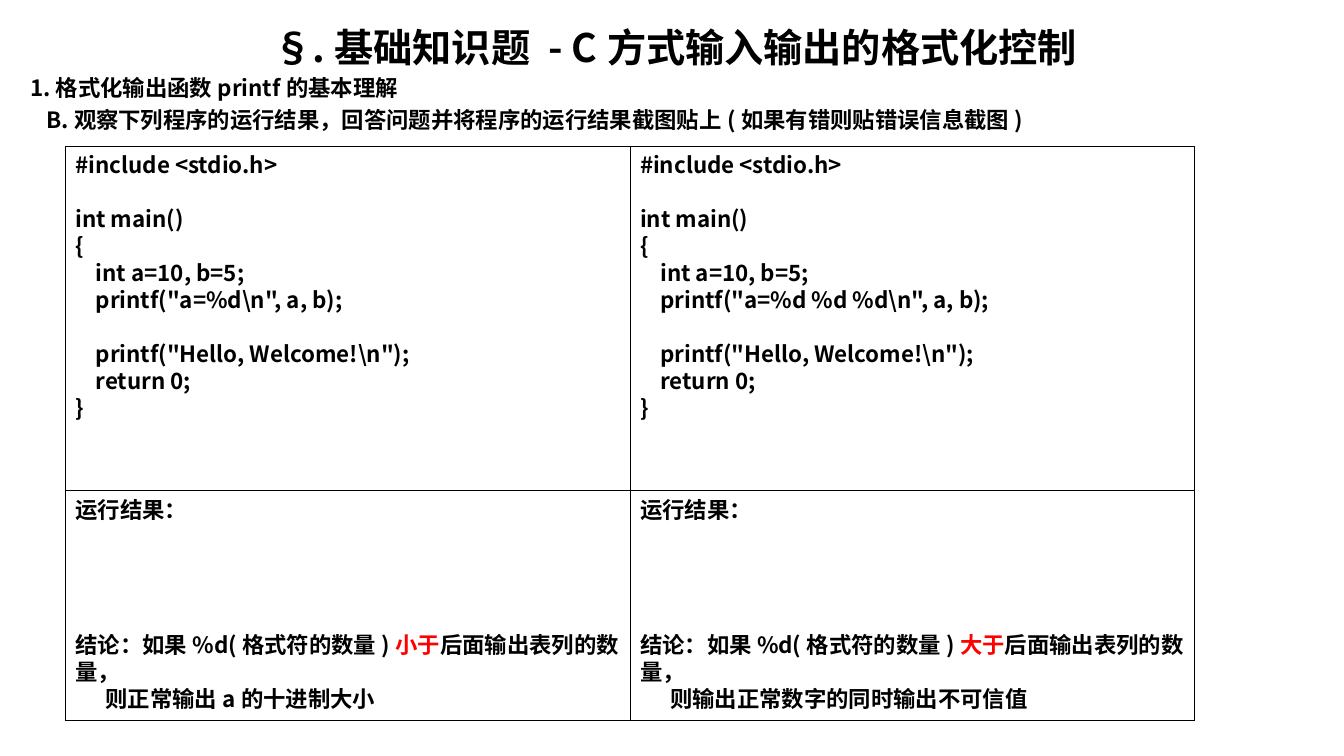
from dataclasses import dataclass

from lxml.etree import SubElement
from pptx import Presentation
from pptx.dml.color import RGBColor as RGB
from pptx.enum.shapes import MSO_SHAPE as Shape
from pptx.enum.text import MSO_ANCHOR as Anchor
from pptx.enum.text import MSO_AUTO_SIZE as Fit
from pptx.enum.text import PP_ALIGN as Align
from pptx.oxml.ns import qn
from pptx.util import Inches, Pt


@dataclass(frozen=True)
class Theme:
    font: str = "Noto Sans CJK SC"
    ink: RGB = RGB(0, 0, 0)
    mark: RGB = RGB(255, 0, 0)
    head: float = 28
    body: float = 16
    lead: float = 1.205  # line height as a multiple of the type size
    rule: float = 0.75


@dataclass(frozen=True)
class Line:
    texts: tuple[str, ...]
    red: int = -1  # index of the text in red
    gap: float = 0  # space before, in points
    indent: float = 0  # left margin, in inches


@dataclass(frozen=True)
class Case:
    form: str
    word: str
    result: str


THEME = Theme()
ROW = THEME.body * THEME.lead
LEFT, TOP, WIDTH, HEIGHT = 0.65, 1.45, 5.6, 5.7
SPLIT = 4.87

TITLE = "§.基础知识题 - C方式输入输出的格式化控制"
INTRO = [
    Line(("1.格式化输出函数printf的基本理解",)),
    Line(("B.观察下列程序的运行结果，回答问题并将程序的运行结果截图贴上"
          "(如果有错则贴错误信息截图)",), gap=3.2, indent=0.16),
]
CASES = [
    Case("%d", "小于", "则正常输出a的十进制大小"),
    Case("%d %d %d", "大于", "则输出正常数字的同时输出不可信值"),
]


def write(frame, lines: list[Line], size: float, align=Align.LEFT) -> None:
    """Fill a text frame with styled lines."""
    frame.word_wrap = True
    frame.auto_size = Fit.NONE
    frame.vertical_anchor = Anchor.TOP
    for i, line in enumerate(lines):
        para = frame.paragraphs[0] if i == 0 else frame.add_paragraph()
        para.alignment = align
        para.line_spacing = Pt(size * THEME.lead)
        para.space_before = Pt(line.gap)
        if line.indent:
            para._p.get_or_add_pPr().set("marL", str(Inches(line.indent)))
        for j, text in enumerate(line.texts):
            run = para.add_run()
            run.text = text
            font = run.font
            font.name, font.size, font.bold = THEME.font, Pt(size), True
            font.color.rgb = THEME.mark if j == line.red else THEME.ink
            SubElement(run._r.rPr, qn("a:ea"), typeface=THEME.font)


def panel(slide, left: float, top: float, lines: list[Line]) -> None:
    """Draw an outlined cell that reaches the foot of the grid."""
    box = slide.shapes.add_shape(
        Shape.RECTANGLE, Inches(left), Inches(top),
        Inches(WIDTH), Inches(TOP + HEIGHT - top))
    box.shadow.inherit = False
    box.fill.background()
    box.line.color.rgb = THEME.ink
    box.line.width = Pt(THEME.rule)
    write(box.text_frame, lines, THEME.body)


def code(case: Case) -> list[Line]:
    return [
        Line(("#include <stdio.h>",)),
        Line(("int main()",), gap=ROW),
        Line(("{",)),
        Line(("    int a=10, b=5;",)),
        Line((f'    printf("a={case.form}\\n", a, b);',)),
        Line(('    printf("Hello, Welcome!\\n");',), gap=ROW),
        Line(("    return 0;",)),
        Line(("}",)),
    ]


def finding(case: Case) -> list[Line]:
    return [
        Line(("运行结果：",)),
        Line(("结论：如果%d(格式符的数量)", case.word, "后面输出表列的数量，"),
             red=1, gap=4 * ROW),
        Line((case.result,), indent=0.3),
    ]


def main() -> None:
    deck = Presentation()
    deck.slide_width, deck.slide_height = Inches(13.33), Inches(7.5)
    slide = deck.slides.add_slide(deck.slide_layouts[5])

    # Title
    title = slide.shapes.title
    title.left, title.top = Inches(0.2), Inches(0.18)
    title.width, title.height = Inches(12.99), Inches(0.57)
    write(title.text_frame, [Line((TITLE,))], THEME.head, Align.CENTER)

    # Task
    intro = slide.shapes.add_textbox(
        Inches(0.2), Inches(0.69), Inches(12.99), Inches(0.7))
    write(intro.text_frame, INTRO, THEME.body)

    # Program and result in each column
    for i, case in enumerate(CASES):
        left = LEFT + i * WIDTH
        panel(slide, left, TOP, code(case))
        panel(slide, left, SPLIT, finding(case))

    deck.save("out.pptx")


if __name__ == "__main__":
    main()
